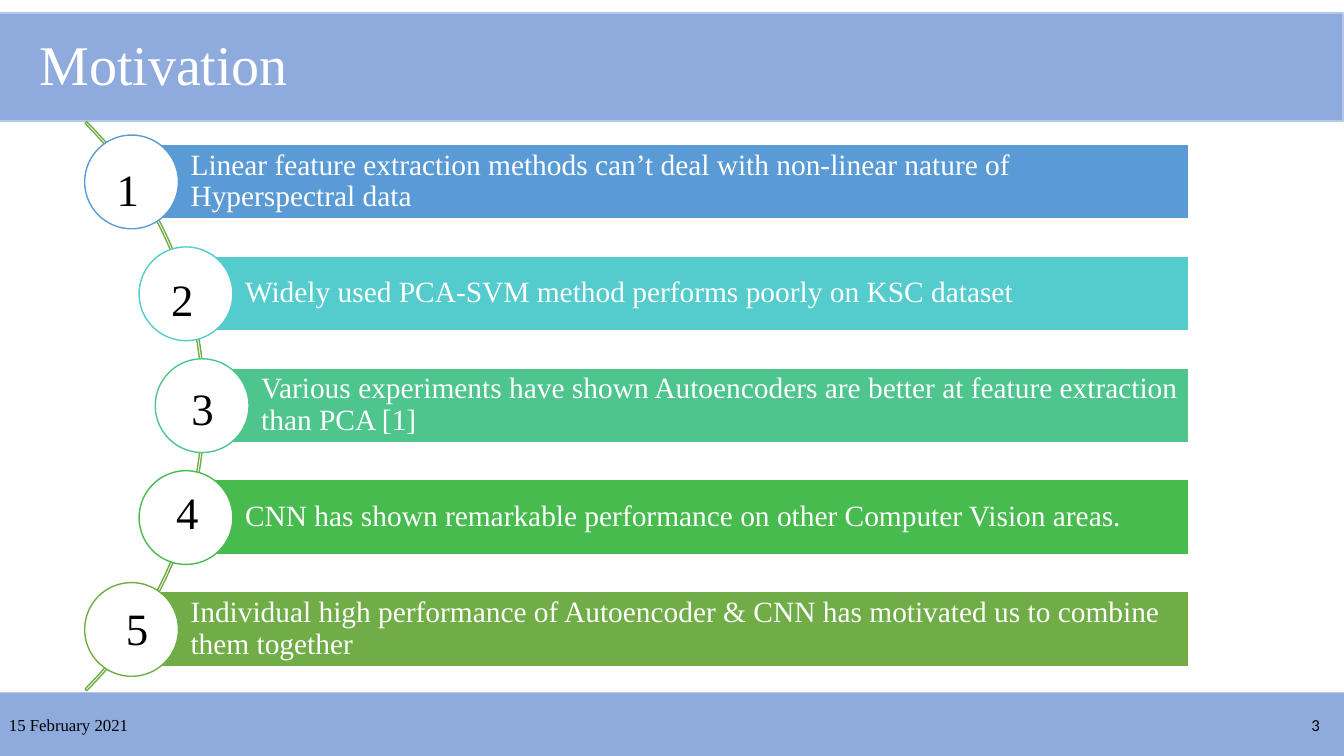
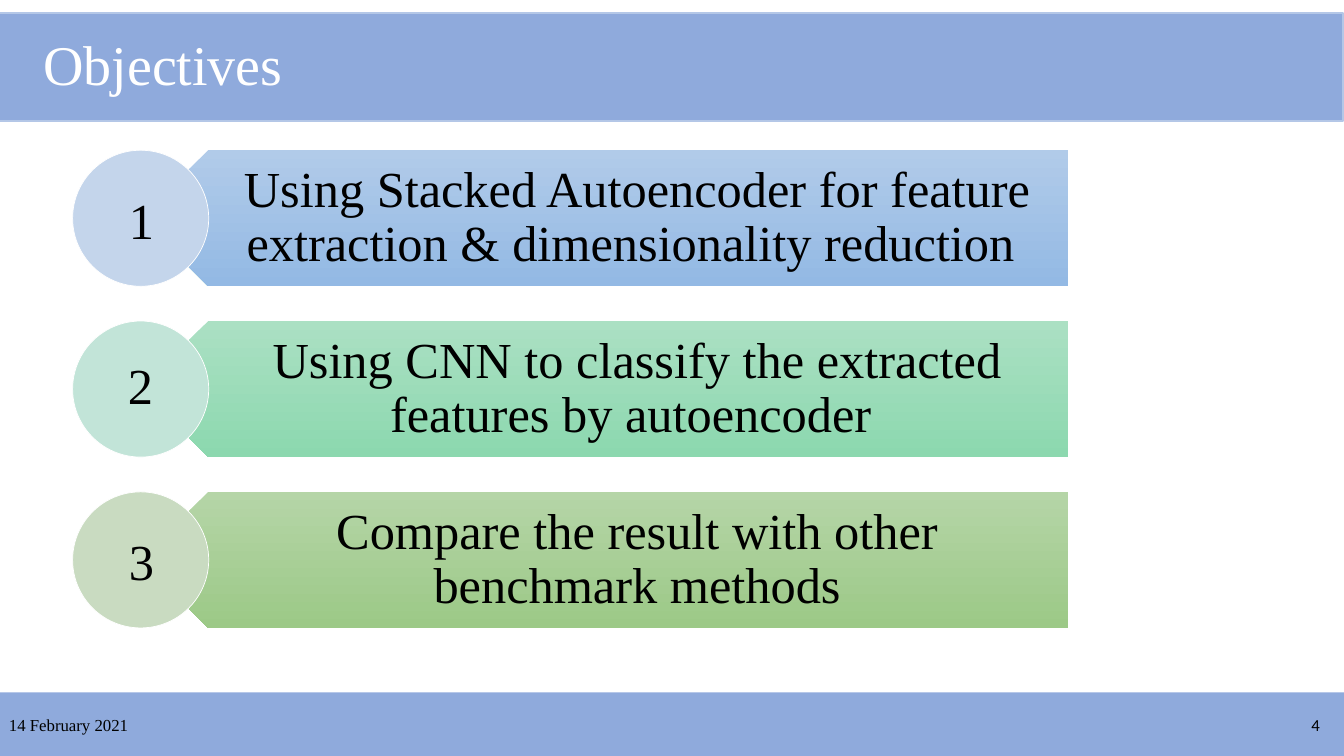
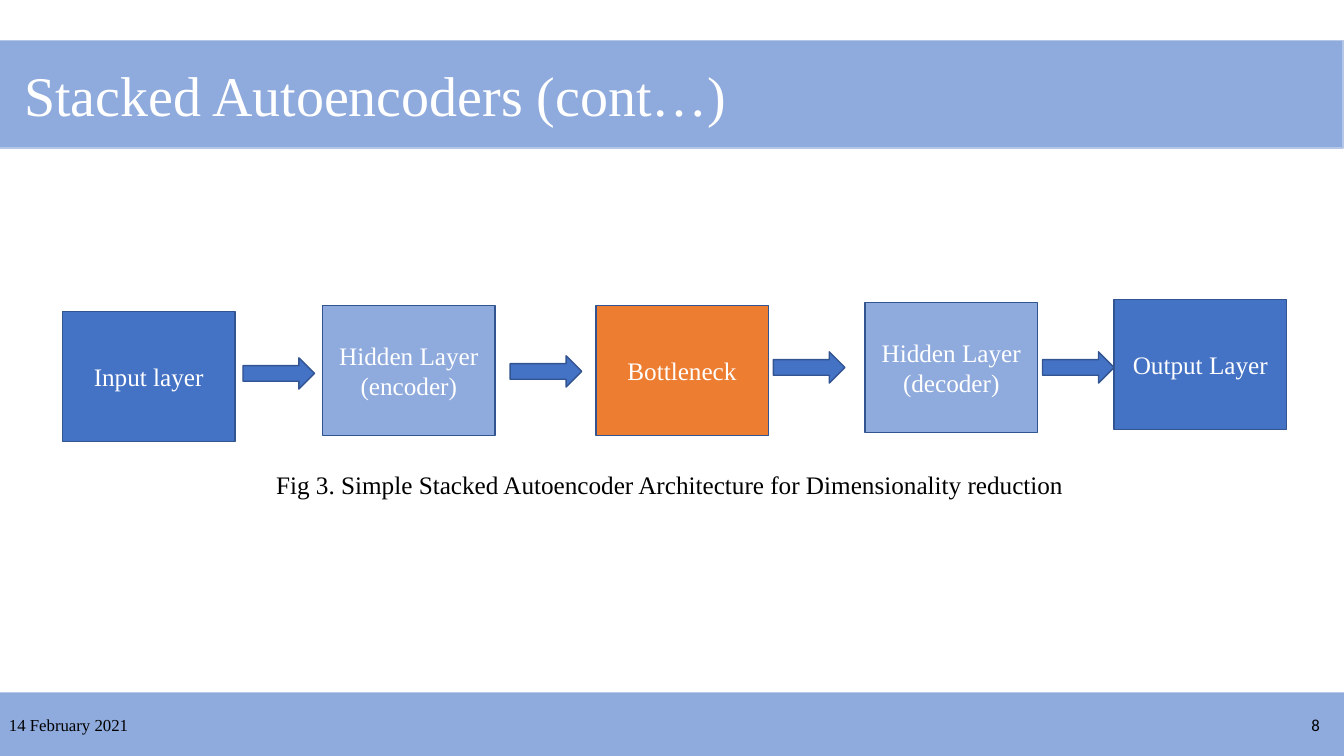
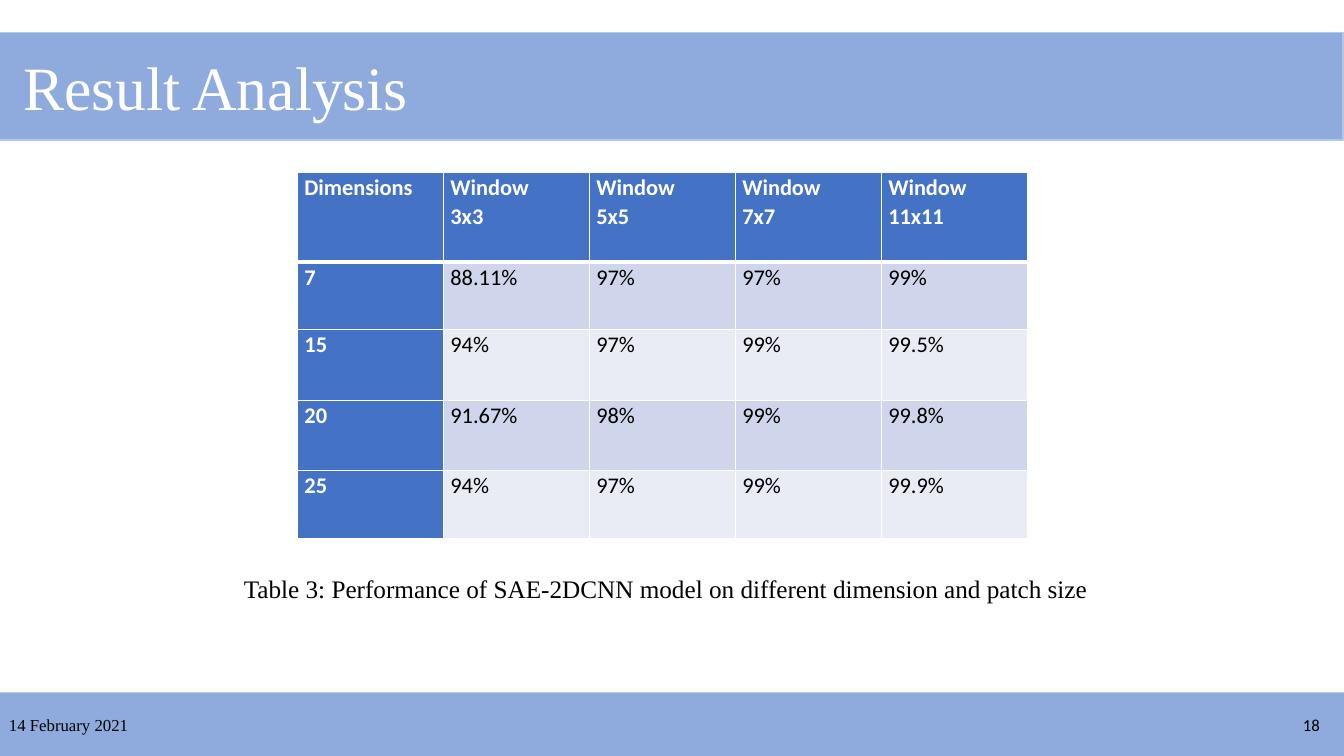
from dataclasses import dataclass

from lxml import etree
from pptx import Presentation
from pptx.dml.color import RGBColor
from pptx.enum import shapes, text
from pptx.oxml import ns
from pptx.util import Inches, Pt

KIND = shapes.MSO_SHAPE
SIDE = text.PP_ALIGN
MID = text.MSO_ANCHOR.MIDDLE


@dataclass(frozen=True)
class Theme:
    serif: str = "Times New Roman"
    sans: str = "Calibri"
    band: str = "8FAADC"
    rim: str = "B4C7E7"
    blue: str = "4472C4"
    edge: str = "325491"
    orange: str = "ED7D31"
    green: str = "70AD47"
    odd: str = "CFD5EA"
    even: str = "E9EBF5"
    white: str = "FFFFFF"
    black: str = "000000"
    head: int = 40
    goal: int = 36
    mark: int = 32
    point: int = 21
    body: int = 18
    cell: int = 16
    foot: int = 12


T = Theme()


def draw(slide, kind, box, fill=None, line=None, width=1):
    """Add a shape, or a text box when kind is None; box is in inches."""
    box = [Inches(n) for n in box]
    if kind is None:
        return slide.shapes.add_textbox(*box)
    shape = slide.shapes.add_shape(kind, *box)
    shape.shadow.inherit = False
    if fill:
        shape.fill.solid()
        shape.fill.fore_color.rgb = RGBColor.from_string(fill)
    else:
        shape.fill.background()
    if line:
        shape.line.color.rgb = RGBColor.from_string(line)
        shape.line.width = Pt(width)
    else:
        shape.line.fill.background()
    return shape


def write(item, words, size, tint, inset=(0.1, 0.05, 0.1, 0.05), wrap=True,
          anchor=MID, align=SIDE.LEFT, space=None, font=T.serif, bold=False):
    """Fill a shape or cell with one paragraph per line of words."""
    frame = item.text_frame
    frame.text = words
    edges = ("margin_left", "margin_top", "margin_right", "margin_bottom")
    form = dict(zip(edges, map(Inches, inset)), word_wrap=wrap,
                vertical_anchor=anchor, auto_size=text.MSO_AUTO_SIZE.NONE)
    for name, value in form.items():
        setattr(frame, name, value)
    for para in frame.paragraphs:
        para.alignment = align
        para.line_spacing = space
        for name, value in dict(name=font, size=Pt(size), bold=bold).items():
            setattr(para.font, name, value)
        para.font.color.rgb = RGBColor.from_string(tint)


deck = Presentation()
deck.slide_width, deck.slide_height = Inches(13.33), Inches(7.5)

# Title, band top, title insets, title size, date, page number
pages = [
    ("Motivation", 0.13, (0.4, 0.05, 0.1, 0.13), T.head, "15 February 2021", 3),
    ("Objectives", 0.13, (0.44, 0.05, 0.1, 0.13), T.head, "14 February 2021", 4),
    ("Stacked Autoencoders (cont…)", 0.4, (0.25, 0.05, 0.1, 0.05), T.head,
     "14 February 2021", 8),
    ("Result Analysis", 0.32, (0.24, 0.05, 0.1, 0.05), 44, "14 February 2021", 18),
]
slides = []
for name, top, inset, size, date, number in pages:
    slide = deck.slides.add_slide(deck.slide_layouts[5])
    title = slide.shapes.title
    place = dict(left=-0.01, top=top, width=13.33, height=1.07)
    for key, value in place.items():
        setattr(title, key, Inches(value))
    title.fill.solid()
    title.fill.fore_color.rgb = RGBColor.from_string(T.band)
    title.line.color.rgb = RGBColor.from_string(T.rim)
    title.line.width = Pt(1)
    write(title, name, size, T.white, inset)
    draw(slide, KIND.RECTANGLE, (0, 6.87, 13.33, 0.63), T.band)
    write(draw(slide, None, (-0.01, 6.99, 3, 0.4)), date, T.foot, T.black)
    write(draw(slide, None, (10.19, 6.99, 3, 0.4)), str(number), T.foot, T.black,
          align=SIDE.RIGHT, font=T.sans)
    slides.append(slide)
why, goals, stack, result = slides

# Motivation: bars start at the centres of circles strung along an arc
arc = draw(why, KIND.BLOCK_ARC, (-5.95, 0.04, 7.98, 7.98), line=T.green)
for i, value in enumerate((189, 27, 0.003)):
    arc.adjustments[i] = value
# Bar left, colour, number left and top, wording
points = [
    (1.3, "5B9BD5", 1.06, 1.55, "Linear feature extraction methods can’t deal with "
     "non-linear nature of Hyperspectral data"),
    (1.84, "54CCCD", 1.6, 2.64,
     "Widely used PCA-SVM method performs poorly on KSC dataset"),
    (2, "4DC58D", 1.8, 3.72, "Various experiments have shown Autoencoders are better "
     "at feature extraction than PCA [1]"),
    (1.84, "48BB4F", 1.65, 4.76,
     "CNN has shown remarkable performance on other Computer Vision areas."),
    (1.3, T.green, 1.15, 5.91, "Individual high performance of Autoencoder & CNN has "
     "motivated us to combine them together"),
]
for i, (left, tint, x, y, words) in enumerate(points):
    top = 1.43 + 1.11 * i
    bar = draw(why, KIND.RECTANGLE, (left, top, 11.79 - left, 0.74), tint, T.white)
    write(bar, words, T.point, T.white, (0.59, 0.06, 0.06, 0.06), space=0.9)
    draw(why, KIND.OVAL, (left - 0.46, top - 0.09, 0.93, 0.93), T.white, tint)
    write(draw(why, None, (x, y, 0.43, 0.64)), str(i + 1), T.mark, T.black, wrap=False)

# Objectives: plate colours, circle colour, number left and top, wording
aims = [
    ("B1CBE9", "93B9E4", "C4D5EB", 1.18, 1.82,
     "Using Stacked Autoencoder for feature extraction & dimensionality reduction "),
    ("ABE0C3", "8CD8AF", "C2E4D8", 1.17, 3.46,
     "Using CNN to classify the extracted features by autoencoder "),
    ("B5D5A7", "9CC987", "C9DBC1", 1.18, 5.2,
     "Compare the result with other benchmark methods"),
]
for i, (light, dark, tint, x, y, words) in enumerate(aims):
    top = 1.49 + 1.695 * i
    plate = draw(goals, KIND.PENTAGON, (1.39, top, 9.21, 1.35))
    plate.element.spPr.get_or_add_xfrm().set("flipH", "1")
    plate.fill.gradient()
    plate.fill.gradient_angle = 270
    for stop, shade in zip(plate.fill.gradient_stops, (light, dark)):
        stop.color.rgb = RGBColor.from_string(shade)
    write(draw(goals, None, (1.73, top, 8.87, 1.35)), words, T.goal, T.black,
          (0.59, 0.15, 0.28, 0.15), align=SIDE.CENTER, space=0.9)
    draw(goals, KIND.OVAL, (0.72, top, 1.35, 1.35), tint, T.white, 0.5)
    write(draw(goals, None, (x, y, 0.45, 0.71)), str(i + 1), T.goal, T.black, wrap=False)

# Stacked autoencoder chain
layers = [
    (0.62, 3.09, T.blue, "Input layer"),
    (3.2, 3.03, T.band, "Hidden Layer\n(encoder)"),
    (5.91, 3.03, T.orange, "Bottleneck"),
    (8.58, 3, T.band, "Hidden Layer\n(decoder)"),
    (11.05, 2.97, T.blue, "Output Layer"),
]
for left, top, tint, words in layers:
    block = draw(stack, KIND.RECTANGLE, (left, top, 1.71, 1.29), tint, T.edge)
    write(block, words, T.body, T.white, align=SIDE.CENTER)
for left, top in ((2.41, 3.55), (5.06, 3.53), (7.67, 3.49), (10.34, 3.49)):
    draw(stack, KIND.RIGHT_ARROW, (left, top, 0.71, 0.31), T.blue, T.edge)

# Result table
rows = [
    ("Dimensions", "Window\n3x3", "Window\n5x5", "Window\n7x7", "Window\n11x11"),
    ("7", "88.11%", "97%", "97%", "99%"),
    ("15", "94%", "97%", "99%", "99.5%"),
    ("20", "91.67%", "98%", "99%", "99.8%"),
    ("25", "94%", "97%", "99%", "99.9%"),
]
spot = [Inches(n) for n in (2.95, 1.71, 7.24, 3.63)]
table = result.shapes.add_table(len(rows), len(rows[0]), *spot).table
for row, high in zip(table.rows, (0.89, 0.67, 0.7, 0.7, 0.67)):
    row.height = Inches(high)
for r, row in enumerate(rows):
    for c, words in enumerate(row):
        cell = table.cell(r, c)
        key = r == 0 or c == 0
        write(cell, words, T.cell, T.white if key else T.black,
              anchor=text.MSO_ANCHOR.TOP, space=1.07, font=T.sans, bold=key)
        pads = dict(margin_left=0.07, margin_top=0, margin_right=0.07, margin_bottom=0)
        for name, value in pads.items():
            setattr(cell, name, Inches(value))
        prop = cell._tc.get_or_add_tcPr()
        for tag in ("a:lnL", "a:lnR", "a:lnT", "a:lnB"):
            thick = (r, tag) in ((0, "a:lnB"), (1, "a:lnT"))
            rule = etree.SubElement(prop, ns.qn(tag), w=str(Pt(3 if thick else 1)))
            fill = etree.SubElement(rule, ns.qn("a:solidFill"))
            etree.SubElement(fill, ns.qn("a:srgbClr"), val=T.white)
        cell.fill.solid()
        tint = T.blue if key else T.odd if r % 2 else T.even
        cell.fill.fore_color.rgb = RGBColor.from_string(tint)

captions = [
    (stack, (2.64, 4.61, 8.06, 0.4),
     "Fig 3. Simple Stacked Autoencoder Architecture for Dimensionality reduction"),
    (result, (2.32, 5.64, 8.66, 0.4),
     "Table 3: Performance of SAE-2DCNN model on different dimension and patch size"),
]
for slide, box, words in captions:
    write(draw(slide, None, box), words, T.body, T.black, wrap=False)

deck.save("out.pptx")
